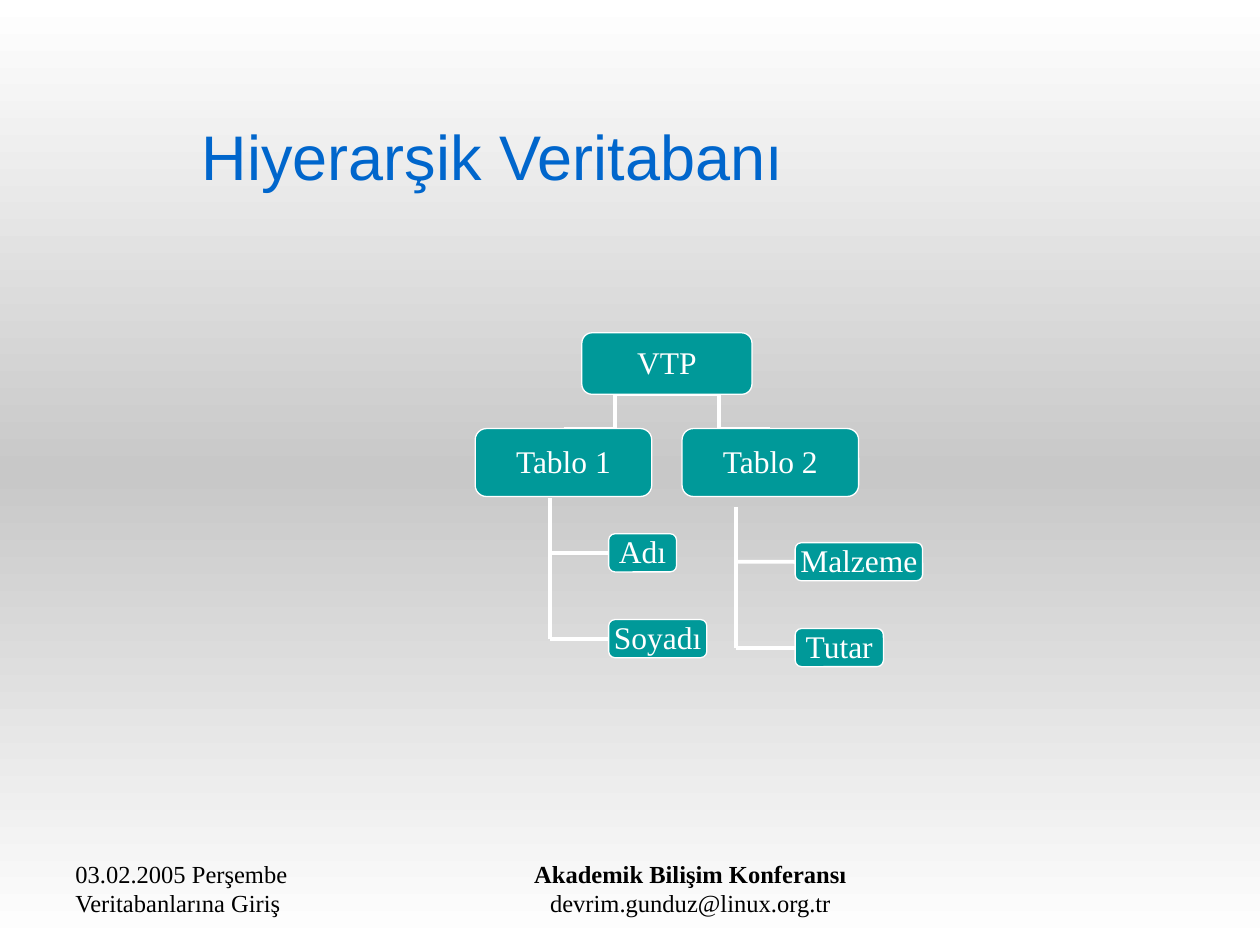
from copy import deepcopy
from dataclasses import dataclass

from lxml.etree import SubElement
from pptx import Presentation
from pptx.dml.color import RGBColor
from pptx.enum.shapes import MSO_CONNECTOR, MSO_SHAPE
from pptx.enum.text import MSO_ANCHOR, PP_ALIGN
from pptx.oxml.ns import qn
from pptx.util import Cm, Pt


@dataclass(frozen=True)
class Theme:
    """Colours, fonts and sizes of the deck."""
    title: RGBColor = RGBColor(0x00, 0x66, 0xCC)
    node: RGBColor = RGBColor(0x00, 0x99, 0x99)
    white: RGBColor = RGBColor(0xFF, 0xFF, 0xFF)
    grey: RGBColor = RGBColor(0xC8, 0xC8, 0xC8)
    black: RGBColor = RGBColor(0x00, 0x00, 0x00)
    sans: str = "Arial"
    serif: str = "Times New Roman"
    title_size: Pt = Pt(36)
    node_size: Pt = Pt(18)
    footer_size: Pt = Pt(14)
    border: Pt = Pt(0.75)
    link: Pt = Pt(2.25)


THEME = Theme()


def style_text(tf, font, size, color, align, anchor):
    """Format every paragraph of a text frame alike."""
    tf.vertical_anchor = anchor
    for p in tf.paragraphs:
        p.alignment = align
        for r in p.runs:
            r.font.name, r.font.size = font, size
            r.font.color.rgb = color


def set_background(s):
    """Fill the slide with a vertical white-grey-white gradient."""
    fill = s.background.fill
    fill.gradient()
    fill.gradient_angle = 270
    first = next(s.element.iter(qn("a:gs")))
    first.addnext(deepcopy(first))
    stops = ((0, THEME.white), (0.5, THEME.grey), (1, THEME.white))
    for stop, (position, color) in zip(fill.gradient_stops, stops):
        stop.position = position
        stop.color.rgb = color


def add_title(s, text, left, top, width, height):
    """Place the title placeholder in the given box."""
    sp = s.shapes.title
    sp.left, sp.top, sp.width, sp.height = map(Cm, (left, top, width, height))
    tf = sp.text_frame
    tf.text = text
    tf.paragraphs[0].line_spacing = 1.04
    style_text(tf, THEME.sans, THEME.title_size, THEME.title,
               PP_ALIGN.LEFT, MSO_ANCHOR.BOTTOM)


def add_footer(s, text, align, left, top, width, height):
    """Place a two-line footer in the given box and return its text frame."""
    sp = s.shapes.add_textbox(*map(Cm, (left, top, width, height)))
    tf = sp.text_frame
    tf.word_wrap = True
    tf.text = text
    style_text(tf, THEME.serif, THEME.footer_size, THEME.black,
               align, MSO_ANCHOR.BOTTOM)
    return tf


def add_node(s, text, left, top, width, height):
    """Add a rounded box with a centred label."""
    sp = s.shapes.add_shape(MSO_SHAPE.ROUNDED_RECTANGLE,
                            *map(Cm, (left, top, width, height)))
    sp.shadow.inherit = False
    sp.fill.solid()
    sp.fill.fore_color.rgb = THEME.node
    sp.line.color.rgb = THEME.white
    sp.line.width = THEME.border
    tf = sp.text_frame
    tf.margin_left = tf.margin_right = tf.margin_top = tf.margin_bottom = 0
    tf.word_wrap = False
    tf.text = text
    tf.paragraphs[0].line_spacing = 0.95
    style_text(tf, THEME.serif, THEME.node_size, THEME.white,
               PP_ALIGN.CENTER, MSO_ANCHOR.MIDDLE)
    return sp


def add_link(s, kind, x1, y1, x2, y2):
    """Add a white connector without shadow."""
    cxn = s.shapes.add_connector(kind, *map(Cm, (x1, y1, x2, y2)))
    cxn.line.color.rgb = THEME.white
    cxn.line.width = THEME.link
    SubElement(cxn._element.spPr, qn("a:effectLst"))
    return cxn


def add_branch(s, fields, left, top):
    """Hang a column of fields on a trunk starting at the given point."""
    indent, drop, pitch, height = 1.19, 0.72, 1.73, 0.77
    for i, (text, width) in enumerate(fields):
        y = top + drop + i * pitch
        middle = y + height / 2
        sp = add_node(s, text, left + indent, y, width, height)
        cxn = add_link(s, MSO_CONNECTOR.STRAIGHT, left + indent, middle, left, middle)
        cxn.begin_connect(sp, 1)
    add_link(s, MSO_CONNECTOR.STRAIGHT, left, middle, left, top)


def add_tree(s, root, tables, left, top, width):
    """Draw the root, its tables and their fields from the given corner."""
    root_w, root_h, table_w, table_h, table_y = 3.43, 1.24, 3.56, 1.37, 1.93
    center = left + width / 2
    for i, (name, fields, trunk_x, trunk_y) in enumerate(tables):
        x, y = left + i * (width - table_w), top + table_y
        add_link(s, MSO_CONNECTOR.ELBOW, x + table_w / 2, y, center, top + root_h)
        add_node(s, name, x, y, table_w, table_h)
        add_branch(s, fields, x + trunk_x, top + trunk_y)
    add_node(s, root, center - root_w / 2, top, root_w, root_h)


def main():
    """Build and save the slide."""
    prs = Presentation()
    prs.slide_width, prs.slide_height = Cm(25.4), Cm(19.05)
    s = prs.slides.add_slide(prs.slide_layouts[5])
    set_background(s)
    add_footer(s, "03.02.2005 Perşembe\nVeritabanlarına Giriş",
               PP_ALIGN.LEFT, 1.27, 17.17, 5.92, 1.45)
    tf = add_footer(s, "Akademik Bilişim Konferansı\ndevrim.gunduz@linux.org.tr",
                    PP_ALIGN.CENTER, 6.2, 17.12, 15.44, 1.5)
    tf.paragraphs[0].runs[0].font.bold = True
    add_title(s, "Hiyerarşik Veritabanı", 3.81, 0.84, 20.32, 3.18)
    tables = (
        ("Tablo 1", (("Adı", 1.37), ("Soyadı", 1.98)), 1.5, 3.33),
        ("Tablo 2", (("Malzeme", 2.57), ("Tutar", 1.78)), 1.09, 3.51),
    )
    add_tree(s, "VTP", tables, 9.58, 6.71, 7.73)
    prs.save("out.pptx")


if __name__ == "__main__":
    main()
